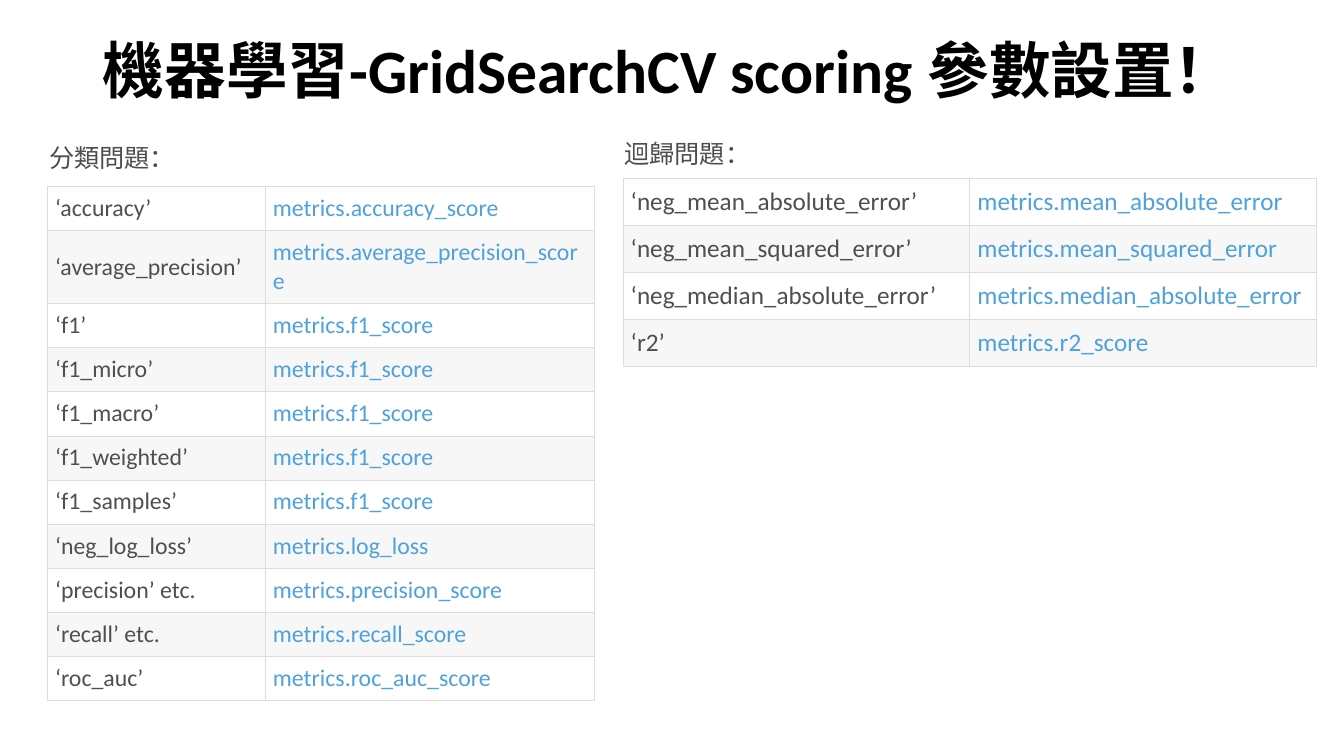
from lxml import etree
from pptx import Presentation
from pptx.dml.color import RGBColor
from pptx.enum.text import MSO_ANCHOR, MSO_AUTO_SIZE, PP_ALIGN
from pptx.oxml.ns import qn
from pptx.util import Cm, Pt

LEFT = PP_ALIGN.LEFT
MIDDLE = MSO_ANCHOR.MIDDLE
NO_AUTOFIT = MSO_AUTO_SIZE.NONE
GROW = MSO_AUTO_SIZE.SHAPE_TO_FIT_TEXT
TITLE_ONLY = 5

COLORS = {
    "title": "000000",
    "heading": "4D4D4D",
    "scoring": "4F4F4F",
    "metric": "4EA1DB",
    "border": "DDDDDD",
    "odd_row": "FFFFFF",
    "even_row": "F7F7F7",
}
CELL_FORMAT = {
    "vertical_anchor": MIDDLE,
    "margin_left": Cm(0.2),
    "margin_right": Cm(0.2),
    "margin_top": Cm(0.13),
    "margin_bottom": Cm(0.13),
}
TITLE_FRAME = {
    "word_wrap": True,
    "auto_size": NO_AUTOFIT,
    "vertical_anchor": MIDDLE,
    "margin_bottom": Cm(2.15),
}
TABLE_FLAGS = {"first_row": False, "horz_banding": False}

CLASSIFICATION = [
    ("‘accuracy’", "metrics.accuracy_score"),
    ("‘average_precision’", "metrics.average_precision_score"),
    ("‘f1’", "metrics.f1_score"),
    ("‘f1_micro’", "metrics.f1_score"),
    ("‘f1_macro’", "metrics.f1_score"),
    ("‘f1_weighted’", "metrics.f1_score"),
    ("‘f1_samples’", "metrics.f1_score"),
    ("‘neg_log_loss’", "metrics.log_loss"),
    ("‘precision’ etc.", "metrics.precision_score"),
    ("‘recall’ etc.", "metrics.recall_score"),
    ("‘roc_auc’", "metrics.roc_auc_score"),
]
REGRESSION = [
    ("‘neg_mean_absolute_error’", "metrics.mean_absolute_error"),
    ("‘neg_mean_squared_error’", "metrics.mean_squared_error"),
    ("‘neg_median_absolute_error’", "metrics.median_absolute_error"),
    ("‘r2’", "metrics.r2_score"),
]


def apply(target, values):
    """Set each attribute of the target from a dict of format values."""
    for attribute, value in values.items():
        setattr(target, attribute, value)


def write(frame, text, size, color, font="Calibri", bold=False):
    """Put one formatted run into a text frame and return its paragraph."""
    paragraph = frame.paragraphs[0]
    paragraph.alignment = LEFT
    run = paragraph.add_run()
    run.text = text
    apply(run.font, {"name": font, "size": Pt(size), "bold": bold})
    run.font.color.rgb = RGBColor.from_string(COLORS[color])
    return paragraph


def set_title(slide, text):
    """Move and format the title placeholder."""
    title = slide.shapes.title
    apply(title, {"left": Cm(2.34), "top": Cm(1.02),
                  "width": Cm(29.21), "height": Cm(3.68)})
    apply(title.text_frame, TITLE_FRAME)
    write(title.text_frame, text, 44, "title", bold=True).line_spacing = 0.9


def add_heading(slide, text, left, top):
    """Add the heading above a table."""
    box = slide.shapes.add_textbox(Cm(left), Cm(top), Cm(5.33), Cm(1.02))
    apply(box.text_frame, {"word_wrap": True, "auto_size": GROW})
    write(box.text_frame, text, 18, "heading", font="Arial")


def add_borders(cell):
    """Draw a thin line on all four sides of a cell."""
    properties = cell._tc.get_or_add_tcPr()
    for position, side in enumerate(("lnL", "lnR", "lnT", "lnB")):
        line = etree.Element(qn(f"a:{side}"), w=str(Pt(0.34)))
        fill = etree.SubElement(line, qn("a:solidFill"))
        etree.SubElement(fill, qn("a:srgbClr"), val=COLORS["border"])
        properties.insert(position, line)


def add_score_table(slide, scores, left, top, widths, row_height, size, tall_rows=None):
    """Add a table that pairs scoring names with metric functions."""
    heights = [row_height] * len(scores)
    for index, height in (tall_rows or {}).items():
        heights[index] = height
    table = slide.shapes.add_table(len(scores), len(widths), Cm(left), Cm(top),
                                   Cm(sum(widths)), Cm(sum(heights))).table
    apply(table, TABLE_FLAGS)
    for column, width in zip(table.columns, widths):
        column.width = Cm(width)
    for index, (row, score) in enumerate(zip(table.rows, scores)):
        row.height = Cm(heights[index])
        band = "even_row" if index % 2 else "odd_row"
        for cell, text, color in zip(row.cells, score, ("scoring", "metric")):
            apply(cell, CELL_FORMAT)
            cell.fill.solid()
            cell.fill.fore_color.rgb = RGBColor.from_string(COLORS[band])
            add_borders(cell)
            write(cell.text_frame, text, size, color)


def main():
    """Build the slide of scoring parameters."""
    deck = Presentation()
    apply(deck, {"slide_width": Cm(33.88), "slide_height": Cm(19.05)})
    slide = deck.slides.add_slide(deck.slide_layouts[TITLE_ONLY])
    set_title(slide, "機器學習-GridSearchCV scoring 參數設置！")
    add_score_table(slide, CLASSIFICATION, 1.19, 4.7, (5.49, 8.31), 1.11, 17, {1: 1.84})
    add_score_table(slide, REGRESSION, 15.7, 4.48, (8.74, 8.74), 1.19, 18)
    add_heading(slide, "分類問題：", 0.99, 3.45)
    add_heading(slide, "迴歸問題：", 15.49, 3.35)
    deck.save("out.pptx")


if __name__ == "__main__":
    main()
